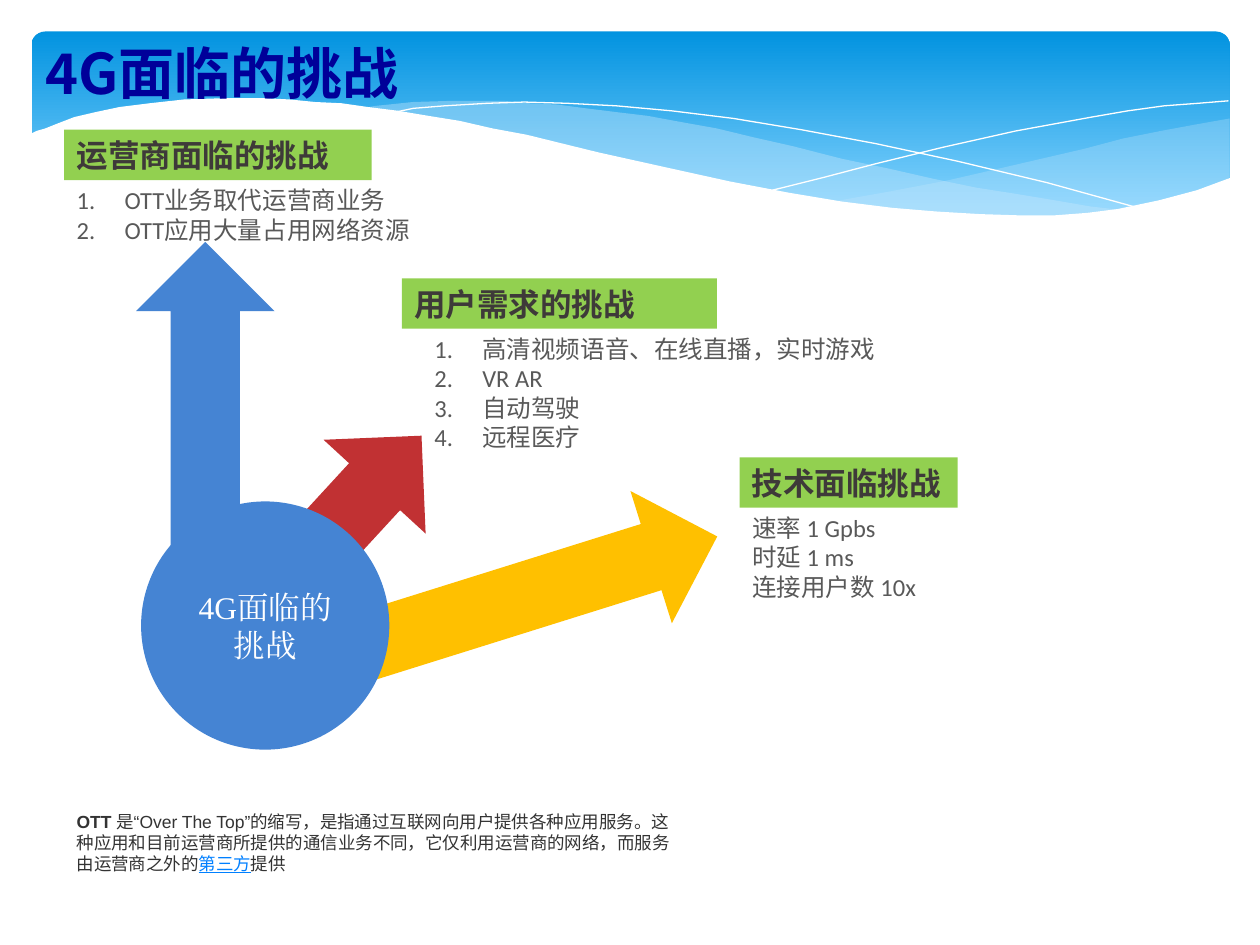
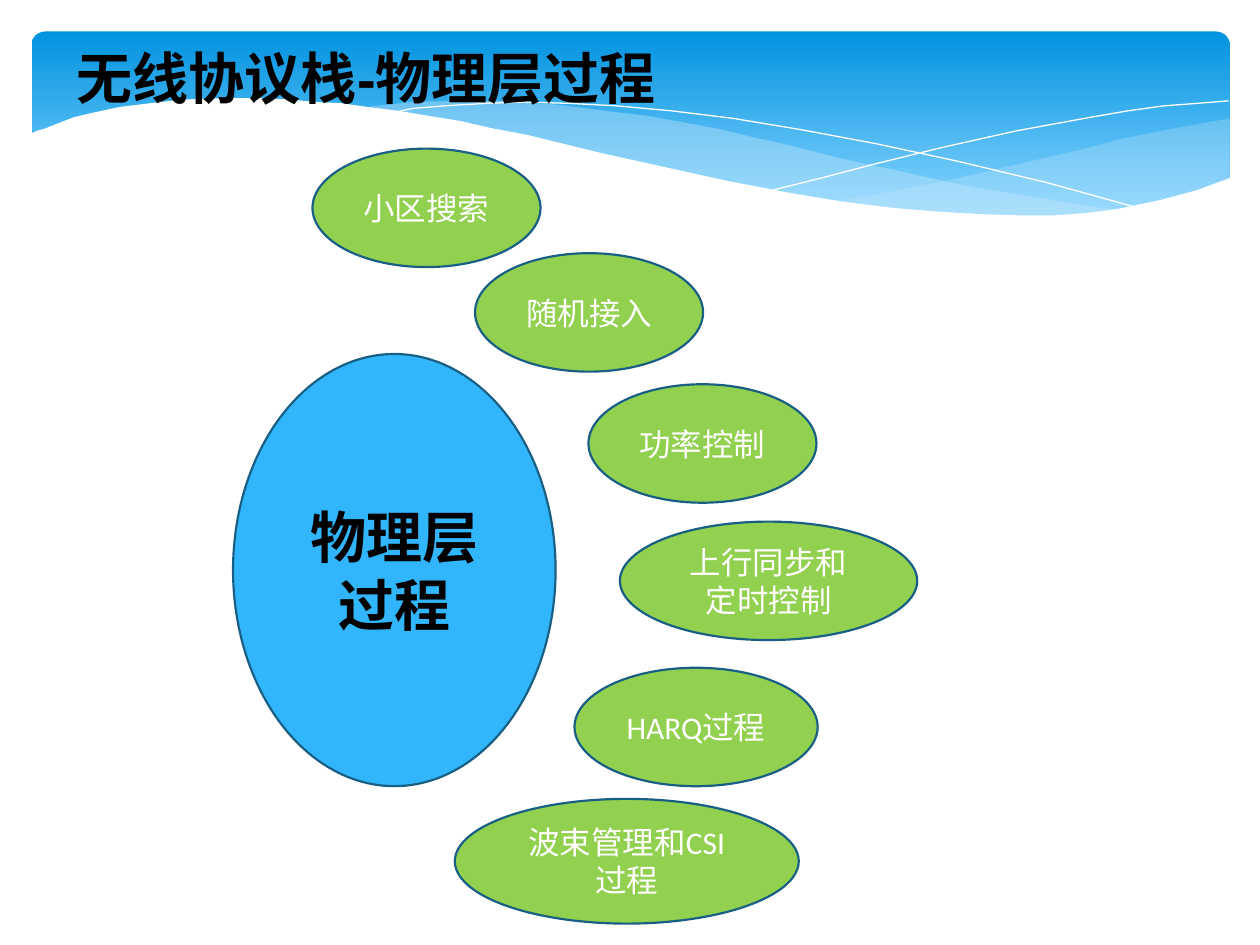
from dataclasses import dataclass

from lxml.etree import SubElement
from pptx import Presentation
from pptx.dml.color import RGBColor
from pptx.enum.shapes import MSO_SHAPE as Preset
from pptx.enum.text import MSO_ANCHOR as Anchor, MSO_AUTO_SIZE as AutoSize, PP_ALIGN as Align
from pptx.oxml.ns import qn
from pptx.util import Inches, Pt


@dataclass(frozen=True)
class Theme:
    # Colours
    white: str = "FFFFFF"
    black: str = "000000"
    navy: str = "000099"
    band_top: str = "0293E0"
    band_bottom: str = "83D3FE"
    wave: str = "C6E7FC"
    green: str = "92D050"
    blue: str = "4584D3"
    red: str = "C13133"
    amber: str = "FFC000"
    sky: str = "31B6FD"
    outline: str = "195F84"
    label_text: str = "3E3A39"
    body_text: str = "595959"
    note_text: str = "333333"
    link: str = "0080FF"
    # Type sizes and fonts
    title_size: int = 32
    label_size: int = 18
    body_size: int = 14
    note_size: int = 10
    font: str = "Calibri"
    title_font: str = "Noto Sans CJK SC"
    note_font: str = "Arial"
    hub_font: str = "Times New Roman"


THEME = Theme()
COLUMNS, ROWS = 100, 75      # the slide as a grid of square cells
CELL = Inches(0.1)

# ---- Slide 1: a hub, three arrows, three groups of challenges ----
CHALLENGES_TITLE = "4G面临的挑战"
CHALLENGES = [
    dict(label="运营商面临的挑战", at=(5.1, 10.3), label_width=24.4, indent=0,
         body_width=36.2, numbered=True,
         items=["OTT业务取代运营商业务", "OTT应用大量占用网络资源"]),
    dict(label="用户需求的挑战", at=(31.9, 22.1), label_width=25, indent=1.6,
         body_width=39.4, numbered=True,
         items=["高清视频语音、在线直播，实时游戏", "VR AR", "自动驾驶", "远程医疗"]),
    dict(label="技术面临挑战", at=(58.7, 36.3), label_width=17.3, indent=0,
         body_width=36.2, numbered=False,
         items=["速率 1 Gpbs", "时延 1 ms", "连接用户数 10x"]),
]
ARROWS = [  # left, top, length, rotation, colour
    (37.3, 32.2, 29.6, 72.6, THEME.amber),
    (22.1, 32.3, 17.3, 42.6, THEME.red),
    (10.8, 19.2, 24.6, 0, THEME.blue),
]
ARROW_WIDTH = 11
HUB = (11.2, 39.8, 19.7, 19.7)
OTT_NOTE = [
    ("OTT", dict(bold=True)),
    ("\u00a0是“Over The Top”的缩写，是指通过互联网向用户提供各种应用服务。"
     "这种应用和目前运营商所提供的通信业务不同，它仅利用运营商的网络，而服务由运营商之外的", {}),
    ("第三方", dict(color=THEME.link, underline=True)),
    ("提供", {}),
]

# ---- Slide 2: a large oval and its procedures ----
PROCEDURES_TITLE = "无线协议栈-物理层过程"
CORE = ("物理层过程", (18.5, 28.1, 25.6, 34.3))
PROCEDURES = [
    ("小区搜索", (24.8, 11.8, 18.1, 9.4)),
    ("随机接入", (37.7, 20.1, 18.1, 9.4)),
    ("功率控制", (46.7, 30.5, 18.1, 9.4)),
    ("上行同步和定时控制", (49.2, 41.4, 23.6, 9.4)),
    ("HARQ过程", (45.6, 53, 19.3, 9.4)),
    ("波束管理和CSI过程", (36.1, 63.4, 27.3, 9.9)),
]

# ---- Shared band: outlines in grid cells ----
BAND = (2.5, 2.5, 95.1, 15.6)
RIGHT_WAVE = [
    (97.6, 9.4), (94.8, 9.9), (92.1, 10.4), (89.1, 11), (86.1, 11.8), (80.5, 13.1),
    (75.3, 14.3), (70.6, 15.2), (66.1, 16), (70.5, 16.5), (74.5, 16.9), (78.1, 17.1),
    (81.4, 17.2), (84.4, 17.1), (87.2, 16.9), (89.7, 16.5), (92.1, 16), (94.2, 15.4),
    (96.3, 14.7), (97.6, 14.1),
]
LEFT_WAVE = [
    (89.3, 16.7), (86.6, 16.4), (83.7, 15.9), (80.7, 15.4), (77.5, 14.9), (74.1, 14.2),
    (70.6, 13.4), (66.8, 12.6), (62.9, 11.6), (59.8, 10.9), (56.9, 10.2), (54.1, 9.7),
    (51.4, 9.2), (48.9, 8.9), (46.5, 8.6), (44.2, 8.3), (42, 8.2), (39.9, 8), (36.1, 8),
    (32.8, 8.1), (29.9, 8.4), (28.6, 8.6), (32.3, 9), (36.2, 9.7), (40.4, 10.6),
    (44.9, 11.6), (49.1, 12.6), (53, 13.5), (56.6, 14.3), (60.1, 15), (63.4, 15.6),
    (66.5, 16.1), (69.5, 16.5), (72.2, 16.8), (74.8, 17), (78.5, 17.2), (81.8, 17.3),
    (84.8, 17.2), (87.6, 16.9),
]
FALLING_LINE = [
    (30.9, 9), (32.8, 8.6), (35.3, 8.4), (38.7, 8.2), (41.6, 8.1), (45, 8.2), (48.9, 8.4),
    (53.3, 8.8), (58.2, 9.4), (63.6, 10.3), (69.5, 11.4), (76, 12.8), (83.1, 14.5),
    (90.7, 16.6),
]
RISING_LINE = [
    (61.3, 15.1), (65.3, 14.1), (69.5, 13), (74.8, 11.7), (80.6, 10.4), (86.6, 9.3),
    (89.5, 8.8), (92.4, 8.4), (95.1, 8.2), (97.5, 8),
]
WHITE_WAVE = [
    (97.7, 14.1), (95, 15.1), (92, 15.9), (88.7, 16.6), (86.3, 16.9), (83.7, 17.1),
    (80.9, 17.1), (77.8, 17), (74.4, 16.8), (70.8, 16.5), (66.8, 16), (62.6, 15.3),
    (57.9, 14.4), (52.9, 13.3), (47.5, 12.1), (41.8, 10.7), (39.1, 10.2), (36.5, 9.6),
    (34, 9.2), (31.6, 8.8), (29.2, 8.5), (27.1, 8.2), (25, 8.1), (23, 7.9), (21.1, 7.8),
    (17.7, 7.8), (14.6, 7.9), (11.9, 8.2), (9.5, 8.5), (7.6, 8.9), (5.9, 9.3),
    (4.6, 9.8), (3.6, 10.2), (2.9, 10.4), (2.3, 10.7), (2.3, 22.4), (97.7, 22.4),
]


def cells(*lengths):
    return [round(length * CELL) for length in lengths]


def rgb(color):
    return RGBColor.from_string(color)


def write_text(shape, paragraphs, *, size, color, font=THEME.font, bold=False,
               align=Align.LEFT, anchor=Anchor.TOP, numbered=False):
    """Fill a shape with paragraphs, each a string or a list of (text, changes)."""
    frame = shape.text_frame
    frame.word_wrap = True
    frame.auto_size = AutoSize.NONE
    frame.vertical_anchor = anchor
    for index, content in enumerate(paragraphs):
        paragraph = frame.add_paragraph() if index else frame.paragraphs[0]
        paragraph.alignment = align
        if numbered:
            properties = paragraph._p.get_or_add_pPr()
            properties.set("marL", str(Inches(0.38)))
            properties.set("indent", str(-Inches(0.38)))
            SubElement(properties, qn("a:buAutoNum"), type="arabicPeriod")
        for text, changes in [(content, {})] if isinstance(content, str) else content:
            run = paragraph.add_run()
            run.text = text
            run.font.size = Pt(size)
            run.font.name = font
            run.font.bold = changes.get("bold", bold)
            run.font.underline = changes.get("underline", False)
            run.font.color.rgb = rgb(changes.get("color", color))
            SubElement(run.font._element, qn("a:ea"), typeface=font)


def paint(shape, fill=None, line=None, width=1.25):
    shape.shadow.inherit = False
    if fill:
        shape.fill.solid()
        shape.fill.fore_color.rgb = rgb(fill)
    else:
        shape.fill.background()
    if line:
        shape.line.color.rgb = rgb(line)
        shape.line.width = Pt(width)
    else:
        shape.line.fill.background()
    return shape


def add_preset(slide, preset, box, fill, line=None):
    return paint(slide.shapes.add_shape(preset, *cells(*box)), fill, line)


def add_outline(slide, points, fill=None, opacity=None, line=None):
    corners = [cells(*point) for point in points]
    builder = slide.shapes.build_freeform(*corners[0], scale=1.0)
    builder.add_line_segments(corners[1:], close=fill is not None)
    shape = paint(builder.convert_to_shape(), fill, line, width=0)
    if opacity:
        color = shape.element.spPr.find(".//" + qn("a:srgbClr"))
        SubElement(color, qn("a:alpha"), val=str(opacity * 1000))
    return shape


def add_band(slide, layout):
    """Draw the wave band and hand it to the layout, so every slide shows it."""
    for placeholder in list(layout.placeholders)[1:]:
        layout.shapes.element.remove(placeholder.element)
    band = add_preset(slide, Preset.ROUNDED_RECTANGLE, BAND, THEME.band_top)
    band.adjustments[0] = 0.07
    band.fill.gradient()
    band.fill.gradient_angle = 270
    first, last = band.fill.gradient_stops
    first.color.rgb, first.position = rgb(THEME.band_top), 0
    last.color.rgb, last.position = rgb(THEME.band_bottom), 0.9
    parts = [
        band,
        add_outline(slide, RIGHT_WAVE, THEME.wave, opacity=29),
        add_outline(slide, LEFT_WAVE, THEME.wave, opacity=40),
        add_outline(slide, FALLING_LINE, line=THEME.white),
        add_outline(slide, RISING_LINE, line=THEME.white),
        add_outline(slide, WHITE_WAVE, THEME.white),
    ]
    for part in parts:
        layout.shapes.element.append(part.element)


def set_title(slide, text, box, color, font):
    title = slide.shapes.title
    title.left, title.top, title.width, title.height = cells(*box)
    write_text(title, [text], size=THEME.title_size, color=color, font=font, bold=True,
               anchor=Anchor.MIDDLE)


def build_challenges(slide):
    set_title(slide, CHALLENGES_TITLE, (2.6, 2.2, 90, 7.1), THEME.navy, THEME.title_font)

    # Arrows
    for left, top, length, rotation, color in ARROWS:
        arrow = add_preset(slide, Preset.UP_ARROW, (left, top, ARROW_WIDTH, length), color)
        arrow.rotation = rotation

    # Green labels with their lists
    for group in CHALLENGES:
        left, top = group["at"]
        label = add_preset(slide, Preset.RECTANGLE, (left, top, group["label_width"], 4),
                           THEME.green)
        write_text(label, [group["label"]], size=THEME.label_size, color=THEME.label_text,
                   bold=True)
        body = slide.shapes.add_textbox(*cells(
            left + group["indent"], top + 3.9, group["body_width"],
            1 + 2.4 * len(group["items"])))
        write_text(body, group["items"], size=THEME.body_size, color=THEME.body_text,
                   numbered=group["numbered"])

    # Note and hub
    note = slide.shapes.add_textbox(*cells(5.1, 63.9, 50, 6.1))
    write_text(note, [OTT_NOTE], size=THEME.note_size, color=THEME.note_text,
               font=THEME.note_font)
    hub = add_preset(slide, Preset.OVAL, HUB, THEME.blue)
    write_text(hub, [CHALLENGES_TITLE], size=THEME.label_size, color=THEME.white,
               font=THEME.hub_font, align=Align.CENTER, anchor=Anchor.MIDDLE)


def build_procedures(slide):
    set_title(slide, PROCEDURES_TITLE, (5.1, 2.9, 85.9, 6.4), THEME.black, THEME.note_font)
    core_format = dict(size=THEME.title_size, color=THEME.black, bold=True)
    step_format = dict(size=THEME.label_size, color=THEME.white)
    ovals = [(*CORE, THEME.sky, core_format)]
    ovals += [(*procedure, THEME.green, step_format) for procedure in PROCEDURES]
    for text, box, fill, text_format in ovals:
        oval = add_preset(slide, Preset.FLOWCHART_CONNECTOR, box, fill, THEME.outline)
        write_text(oval, [text], align=Align.CENTER, anchor=Anchor.MIDDLE, **text_format)


def main():
    presentation = Presentation()
    presentation.slide_width, presentation.slide_height = COLUMNS * CELL, ROWS * CELL
    layout = presentation.slide_layouts[5]
    challenges, procedures = (presentation.slides.add_slide(layout) for _ in range(2))
    add_band(challenges, layout)
    build_challenges(challenges)
    build_procedures(procedures)
    presentation.save("out.pptx")


if __name__ == "__main__":
    main()
